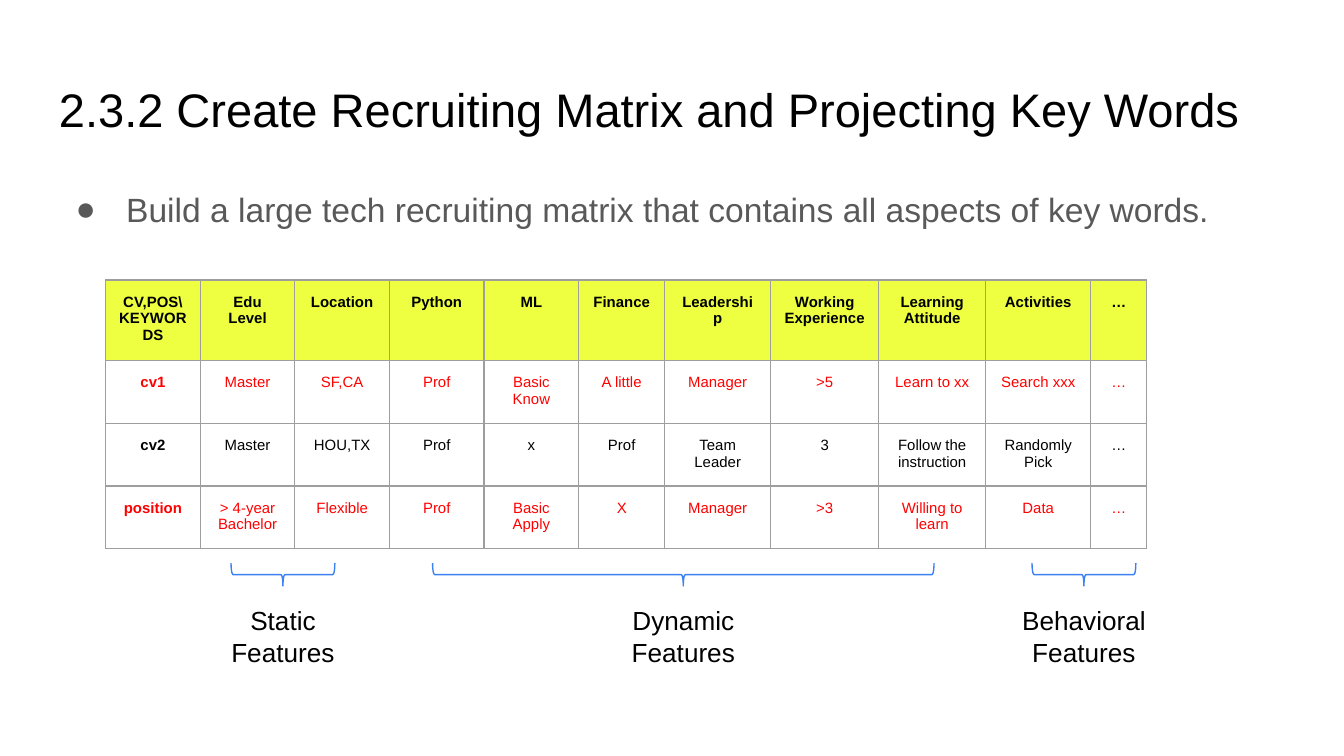
from lxml import etree
from pptx import Presentation
from pptx.dml.color import RGBColor
from pptx.enum.shapes import MSO_SHAPE
from pptx.enum.text import MSO_ANCHOR, PP_ALIGN
from pptx.oxml.ns import qn
from pptx.util import Pt

LEFT_BRACE = MSO_SHAPE.LEFT_BRACE
TOP, BOTTOM = MSO_ANCHOR.TOP, MSO_ANCHOR.BOTTOM
LEFT, CENTER = PP_ALIGN.LEFT, PP_ALIGN.CENTER

FONT = "Arial"
INSET = 7.2
COLORS = {
    "black": "000000",
    "gray": "595959",
    "red": "FF0000",
    "header": "EEFF41",
    "border": "9E9E9E",
    "brace": "3C81F3",
}

COLUMN_WIDTHS = [50.7] * 5 + [46.1, 56.8, 57.9, 57.3, 56.3, 30]
ROW_HEIGHTS = [43.1] + [33.6] * 3
ROW_COLORS = ["black", "red", "black", "red"]
MATRIX = [
    ["CV,POS\\KEYWORDS", "Edu Level", "Location", "Python", "ML", "Finance",
     "Leadership", "Working\nExperience", "Learning Attitude", "Activities", "…"],
    ["cv1", "Master", "SF,CA", "Prof", "Basic Know", "A little",
     "Manager", ">5", "Learn to xx", "Search xxx", "…"],
    ["cv2", "Master", "HOU,TX", "Prof", "x", "Prof",
     "Team Leader", "3", "Follow the instruction", "Randomly Pick", "…"],
    ["position", "> 4-year\nBachelor", "Flexible", "Prof", "Basic\nApply", "X",
     "Manager", ">3", "Willing to learn", "Data", "…"],
]

# Label, horizontal centre, brace span
FEATURES = [
    ("Static Features", 151.6, 55.6),
    ("Dynamic Features", 366.1, 268.6),
    ("Behavioral Features", 580.7, 55.6),
]


def rgb(name):
    return RGBColor.from_string(COLORS[name])


def write_text(tf, text, size, color="black", bold=False, align=LEFT):
    """Fill a text frame, one paragraph per line of text."""
    tf.word_wrap = True
    for i, line in enumerate(text.split("\n")):
        p = tf.add_paragraph() if i else tf.paragraphs[0]
        p.alignment = align
        r = p.add_run()
        r.text = line
        r.font.name = FONT
        r.font.size = Pt(size)
        r.font.bold = bold
        r.font.color.rgb = rgb(color)


def add_text(slide, text, left, top, width, height, inset_y=INSET, anchor=TOP, **fmt):
    sp = slide.shapes.add_textbox(Pt(left), Pt(top), Pt(width), Pt(height))
    tf = sp.text_frame
    tf.margin_left = tf.margin_right = Pt(INSET)
    tf.margin_top = tf.margin_bottom = Pt(inset_y)
    tf.vertical_anchor = anchor
    write_text(tf, text, **fmt)
    return tf


def set_bullet(p, char, color, indent, hanging):
    pPr = p._p.get_or_add_pPr()
    pPr.set("marL", str(Pt(indent)))
    pPr.set("indent", str(-Pt(hanging)))
    bu_clr = etree.SubElement(pPr, qn("a:buClr"))
    etree.SubElement(bu_clr, qn("a:srgbClr"), val=COLORS[color])
    etree.SubElement(pPr, qn("a:buFont"), typeface=FONT)
    etree.SubElement(pPr, qn("a:buChar"), char=char)


def set_borders(cell, color, width):
    tcPr = cell._tc.get_or_add_tcPr()
    for side in ("lnL", "lnR", "lnT", "lnB"):
        ln = etree.SubElement(tcPr, qn(f"a:{side}"), w=str(Pt(width)))
        fill = etree.SubElement(ln, qn("a:solidFill"))
        etree.SubElement(fill, qn("a:srgbClr"), val=COLORS[color])


def add_matrix(slide, left, top):
    frame = slide.shapes.add_table(
        len(MATRIX), len(COLUMN_WIDTHS), Pt(left), Pt(top),
        Pt(sum(COLUMN_WIDTHS)), Pt(sum(ROW_HEIGHTS)))
    table = frame.table
    for column, width in zip(table.columns, COLUMN_WIDTHS):
        column.width = Pt(width)
    for i, (row, height) in enumerate(zip(table.rows, ROW_HEIGHTS)):
        row.height = Pt(height)
        for j, cell in enumerate(row.cells):
            cell.margin_left = cell.margin_right = Pt(INSET)
            cell.margin_top = cell.margin_bottom = Pt(INSET)
            set_borders(cell, "border", 0.75)
            if i == 0:
                cell.fill.solid()
                cell.fill.fore_color.rgb = rgb("header")
            else:
                cell.fill.background()
            write_text(cell.text_frame, MATRIX[i][j], size=8, color=ROW_COLORS[i],
                       bold=i == 0 or j == 0, align=CENTER)


def add_brace(slide, center_x, center_y, span, depth):
    """Add a horizontal brace pointing down: a left brace turned by 270 degrees."""
    sp = slide.shapes.add_shape(
        LEFT_BRACE, Pt(center_x - depth / 2), Pt(center_y - span / 2), Pt(depth), Pt(span))
    sp.rotation = 270
    sp.shadow.inherit = False
    sp.fill.background()
    sp.line.color.rgb = rgb("brace")
    sp.line.width = Pt(0.75)


def add_feature(slide, label, center_x, span):
    add_brace(slide, center_x, 307.8, span, 12.2)
    width = 87
    add_text(slide, label, center_x - width / 2, 320.4, width, 41,
             inset_y=3.6, size=14, align=CENTER)


def main():
    prs = Presentation()
    prs.slide_width, prs.slide_height = Pt(720), Pt(405)
    slide = prs.slides.add_slide(prs.slide_layouts[6])

    add_text(slide, "2.3.2 Create Recruiting Matrix and Projecting Key Words",
             24.5, 35.3, 671, 45.4, anchor=BOTTOM, size=25.2)
    tf = add_text(
        slide, "Build a large tech recruiting matrix that contains all aspects of key words.",
        24.5, 90.7, 671, 269, size=18, color="gray")
    p = tf.paragraphs[0]
    p.line_spacing = 1.15
    set_bullet(p, "●", "gray", indent=36, hanging=27)

    add_matrix(slide, 56.6, 150)
    for label, center_x, span in FEATURES:
        add_feature(slide, label, center_x, span)

    prs.save("out.pptx")


if __name__ == "__main__":
    main()
